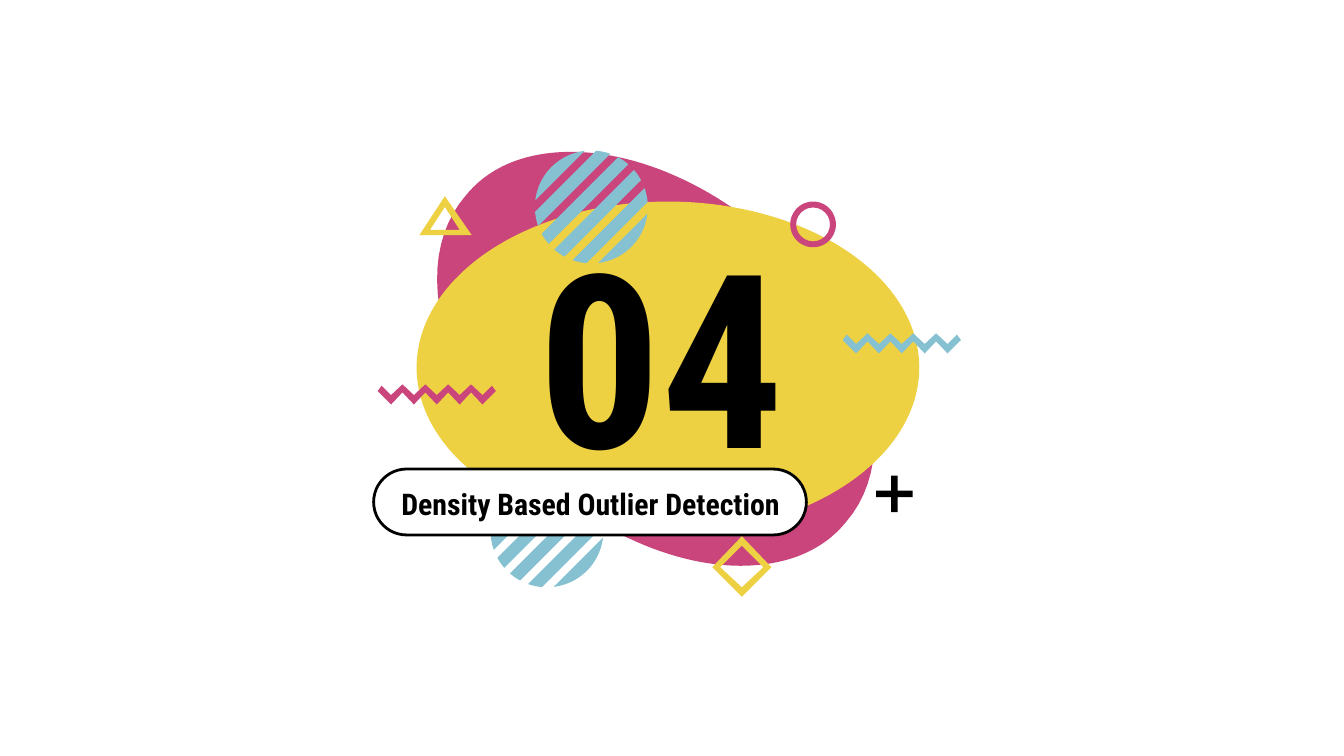
from math import acos, cos, pi, sin

from pptx import Presentation
from pptx.dml.color import RGBColor
from pptx.enum.shapes import MSO_SHAPE
from pptx.enum.text import MSO_ANCHOR, MSO_AUTO_SIZE, PP_ALIGN
from pptx.util import Inches, Pt

OVAL, DONUT = MSO_SHAPE.OVAL, MSO_SHAPE.DONUT
CROSS, PILL = MSO_SHAPE.CROSS, MSO_SHAPE.ROUNDED_RECTANGLE
BOTTOM, MIDDLE = MSO_ANCHOR.BOTTOM, MSO_ANCHOR.MIDDLE
CENTER, NO_AUTOFIT = PP_ALIGN.CENTER, MSO_AUTO_SIZE.NONE

BLACK = RGBColor(0, 0, 0)
WHITE = RGBColor(0xFF, 0xFF, 0xFF)
PINK = RGBColor(0xC9, 0x45, 0x7C)
YELLOW = RGBColor(0xEE, 0xD1, 0x43)
BLUE = RGBColor(0x85, 0xC1, 0xD0)
PALE_BLUE = RGBColor(0xCC, 0xE6, 0xEC)

# text, box, point size, vertical anchor
TEXTS = [
    ("04", (3.4, 1.61, 3.04, 2.19), 130, BOTTOM),
    ("Density Based Outlier Detection", (2.78, 3.51, 3.23, 0.47), 16, MIDDLE),
]

# Bezier curves of one half of the blob; the other half is the same turned by 180 degrees
BLOB_CENTRE = (4.88, 2.67)
BLOB_HALF = [
    [(4.25, 1.13), (3.93, 1.13), (3.65, 1.23), (3.47, 1.45)],
    [(3.47, 1.45), (3.02, 1.96), (3.29, 2.93), (4.07, 3.61)],
    [(4.07, 3.61), (4.53, 4.0), (5.06, 4.21), (5.51, 4.21)],
]

# preset, box, adjustment, fill, has outline
PRESETS = [
    (OVAL, (3.1, 1.5, 3.74, 2.47), None, YELLOW, False),
    (DONUT, (5.88, 1.5, 0.34, 0.34), 0.13, PINK, False),
    (PILL, (2.78, 3.49, 3.22, 0.49), 0.5, WHITE, True),
    (CROSS, (6.52, 3.54, 0.27, 0.27), 0.41, BLACK, False),
]

# outer and inner outlines of the hollow shapes
FRAMES = [
    [[(5.52, 3.99), (5.3, 4.22), (5.52, 4.44), (5.74, 4.22)],
     [(5.52, 4.06), (5.68, 4.22), (5.52, 4.37), (5.36, 4.22)]],
    [[(3.31, 1.46), (3.12, 1.75), (3.51, 1.75)],
     [(3.31, 1.54), (3.42, 1.71), (3.2, 1.71)]],
]

ZIGZAGS = [((2.81, 2.86), PINK), ((6.27, 2.48), BLUE)]

RADIUS = 0.42
STRIPES, STRIPE_WIDTH, STRIPE_PITCH = 6, 0.09, 0.15


def paint(sp, fill, outlined=False):
    sp.shadow.inherit = False
    sp.fill.solid()
    sp.fill.fore_color.rgb = fill
    if outlined:
        sp.line.color.rgb = BLACK
        sp.line.width = Pt(1.5)
    else:
        sp.line.fill.background()


def add_outline(shapes, contours, fill):
    contours = [[(Inches(x), Inches(y)) for x, y in c] for c in contours]
    builder = shapes.build_freeform(*contours[0][0])
    builder.add_line_segments(contours[0][1:], close=True)
    for contour in contours[1:]:
        builder.move_to(*contour[0])
        builder.add_line_segments(contour[1:], close=True)
    paint(builder.convert_to_shape(), fill)


def add_striped_circle(shapes, cx, cy, first_fill):
    """Cut a circle into diagonal stripes, from upper left to lower right."""
    steps = 10
    for i in range(STRIPES):
        near = -RADIUS + i * STRIPE_PITCH
        far = min(near + STRIPE_WIDTH, RADIUS)
        start, end = acos(near / RADIUS), acos(far / RADIUS)
        arc = [start + (end - start) * k / steps for k in range(steps + 1)]
        angles = [pi / 4 + t for t in arc + [-t for t in reversed(arc)]]
        points = [(cx + RADIUS * cos(a), cy + RADIUS * sin(a)) for a in angles]
        add_outline(shapes, [points], BLUE if i else first_fill)


def bezier(p0, p1, p2, p3, steps=24):
    for k in range(steps):
        t = k / steps
        weights = ((1 - t) ** 3, 3 * t * (1 - t) ** 2, 3 * t * t * (1 - t), t ** 3)
        yield tuple(sum(w * v for w, v in zip(weights, axis))
                    for axis in zip(p0, p1, p2, p3))


def add_blob(shapes):
    half = [pt for curve in BLOB_HALF for pt in bezier(*curve)]
    cx, cy = BLOB_CENTRE
    turned = [(2 * cx - x, 2 * cy - y) for x, y in half]
    add_outline(shapes, [half + turned], PINK)


def add_zigzag(shapes, left, top, fill):
    xs = [0.1 + 0.085 * k for k in range(9)]
    upper = [(x, 0 if k % 2 else 0.08) for k, x in enumerate(xs)]
    lower = [(x, 0.06 if k % 2 else 0.15) for k, x in enumerate(xs)]
    points = [(0, 0.05), (0.03, 0.01), *upper, (0.85, 0.01), (0.88, 0.05), *reversed(lower)]
    add_outline(shapes, [[(left + x, top + y) for x, y in points]], fill)


def fill_placeholder(sp, text, box, size, anchor):
    sp.left, sp.top, sp.width, sp.height = map(Inches, box)
    tf = sp.text_frame
    margins = dict.fromkeys(
        ("margin_left", "margin_top", "margin_right", "margin_bottom"), Inches(0.1))
    frame = dict(margins, word_wrap=True, auto_size=NO_AUTOFIT, vertical_anchor=anchor)
    for name, value in frame.items():
        setattr(tf, name, value)
    p = tf.paragraphs[0]
    p.alignment = CENTER
    p.space_before = Pt(0)
    r = p.add_run()
    r.text = text
    for name, value in dict(name="Roboto Condensed", size=Pt(size), bold=True).items():
        setattr(r.font, name, value)
    r.font.color.rgb = BLACK


def main():
    prs = Presentation()
    prs.slide_width = Inches(10)
    prs.slide_height = prs.slide_width * 9 // 16
    s = prs.slides.add_slide(prs.slide_layouts[0])
    shapes = s.shapes
    placeholders = list(s.placeholders)

    add_striped_circle(shapes, 4.07, 3.95, PALE_BLUE)
    add_blob(shapes)
    for preset, box, adjustment, fill, outlined in PRESETS:
        sp = shapes.add_shape(preset, *map(Inches, box))
        if adjustment is not None:
            sp.adjustments[0] = adjustment
        paint(sp, fill, outlined)
    for contours in FRAMES:
        add_outline(shapes, contours, YELLOW)
    add_striped_circle(shapes, 4.4, 1.54, BLUE)
    for (left, top), fill in ZIGZAGS:
        add_zigzag(shapes, left, top, fill)

    for sp, content in zip(placeholders, TEXTS):
        fill_placeholder(sp, *content)
        shapes.element.append(sp.element)  # bring the text to the front

    prs.save("out.pptx")


if __name__ == "__main__":
    main()
